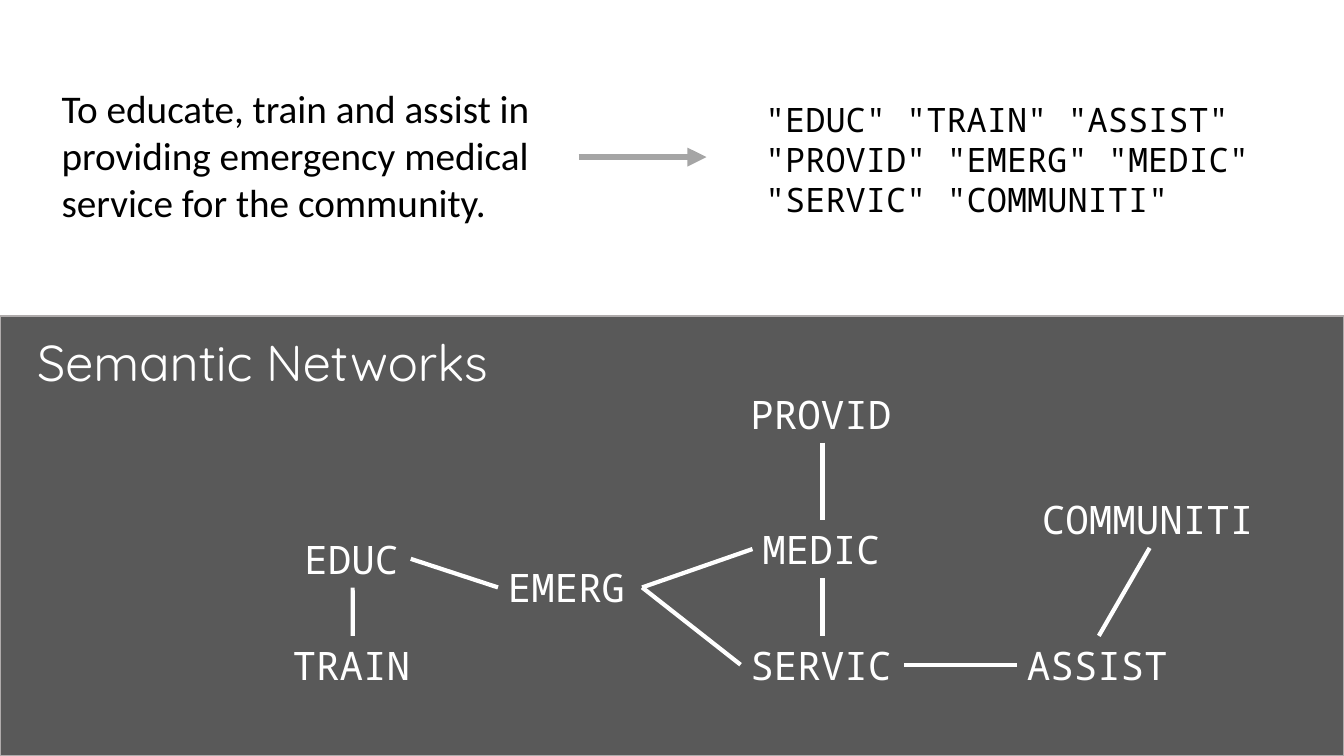
from dataclasses import dataclass

from lxml.etree import SubElement
from pptx import Presentation
from pptx.dml.color import RGBColor
from pptx.enum.shapes import MSO_CONNECTOR, MSO_SHAPE
from pptx.enum.text import MSO_ANCHOR, MSO_AUTO_SIZE, PP_ALIGN
from pptx.oxml.ns import qn
from pptx.util import Pt


@dataclass(frozen=True)
class Theme:
    white: RGBColor = RGBColor(0xFF, 0xFF, 0xFF)
    black: RGBColor = RGBColor(0, 0, 0)
    panel: RGBColor = RGBColor(0x59, 0x59, 0x59)
    panel_edge: RGBColor = RGBColor(0xAF, 0xAB, 0xAB)
    arrow: RGBColor = RGBColor(0xA5, 0xA5, 0xA5)
    body_font: str = "Calibri"
    stem_font: str = "Noto Sans Mono"
    title_font: str = "Quicksand"
    title_size: int = 36
    body_size: int = 28
    stem_size: int = 24


THEME = Theme()
TOP, LEFT, BOTTOM, RIGHT = range(4)
NODE_HEIGHT = 41.2

MISSION = ("To educate, train and assist in providing emergency medical "
           "service for the community.")
STEMS = ('"EDUC" "TRAIN" "ASSIST" "PROVID" "EMERG" "MEDIC" '
         '"SERVIC" "COMMUNITI"')

# word: (left, top)
NODES = {
    "EDUC": (210.4, 378.6),
    "TRAIN": (202, 454.2),
    "ASSIST": (726.4, 454.2),
    "PROVID": (529, 275),
    "COMMUNITI": (737.2, 350.2),
    "SERVIC": (529, 454.2),
    "EMERG": (355.7, 399),
    "MEDIC": (537.5, 371.6),
}
NODE_WIDTHS = {"EMERG": 103}

LINKS = [
    ("EDUC", RIGHT, "EMERG", LEFT),
    ("EDUC", BOTTOM, "TRAIN", TOP),
    ("PROVID", BOTTOM, "MEDIC", TOP),
    ("EMERG", RIGHT, "MEDIC", LEFT),
    ("SERVIC", TOP, "MEDIC", BOTTOM),
    ("EMERG", RIGHT, "SERVIC", LEFT),
    ("COMMUNITI", BOTTOM, "ASSIST", TOP),
    ("SERVIC", RIGHT, "ASSIST", LEFT),
]


def write(holder, text, *, font, size, color, wrap=True,
          anchor=MSO_ANCHOR.TOP, insets=(7.2, 3.6)):
    frame = holder.text_frame
    frame.word_wrap = wrap
    frame.auto_size = MSO_AUTO_SIZE.SHAPE_TO_FIT_TEXT
    frame.vertical_anchor = anchor
    frame.margin_left = frame.margin_right = Pt(insets[0])
    frame.margin_top = frame.margin_bottom = Pt(insets[1])
    paragraph = frame.paragraphs[0]
    paragraph.alignment = PP_ALIGN.LEFT
    run = paragraph.add_run()
    run.text = text
    run.font.name = font
    run.font.size = Pt(size)
    run.font.color.rgb = color


def add_block(slide, left, top, width, height, fill, edge=None):
    block = slide.shapes.add_shape(
        MSO_SHAPE.RECTANGLE, Pt(left), Pt(top), Pt(width), Pt(height))
    block.shadow.inherit = False
    block.fill.solid()
    block.fill.fore_color.rgb = fill
    if edge is None:
        block.line.fill.background()
    else:
        block.line.color.rgb = edge
        block.line.width = Pt(1)
    return block


def add_label(slide, text, left, top, width, height, **text_format):
    label = slide.shapes.add_textbox(Pt(left), Pt(top), Pt(width), Pt(height))
    write(label, text, **text_format)
    return label


def add_node(slide, word):
    """Place a word of the network in a box as wide as its letters need."""
    width = NODE_WIDTHS.get(word, 17 * len(word) + 15)
    return add_label(slide, word, *NODES[word], width, NODE_HEIGHT,
                     font=THEME.stem_font, size=THEME.body_size,
                     color=THEME.white, wrap=word in NODE_WIDTHS)


def add_line(slide, color, weight, start=(0, 0), end=(0, 0)):
    line = slide.shapes.add_connector(
        MSO_CONNECTOR.STRAIGHT, *map(Pt, start), *map(Pt, end))
    line.line.color.rgb = color
    line.line.width = Pt(weight)
    SubElement(line._element.spPr, qn("a:effectLst"))
    return line


def add_link(slide, source, source_side, target, target_side):
    link = add_line(slide, THEME.white, 3)
    link.begin_connect(source, source_side)
    link.end_connect(target, target_side)


def add_arrow(slide, start, end):
    arrow = add_line(slide, THEME.arrow, 4.5, start, end)
    SubElement(arrow.line._get_or_add_ln(), qn("a:tailEnd"), type="triangle")


def main():
    deck = Presentation()
    deck.slide_width, deck.slide_height = Pt(960), Pt(540)
    slide = deck.slides.add_slide(deck.slide_layouts[6])

    add_block(slide, 0, 225.6, 960, 314.4, THEME.panel, THEME.panel_edge)
    stems = add_block(slide, 539.4, 70, 377, 87, THEME.white)
    write(stems, STEMS, font=THEME.stem_font, size=THEME.stem_size,
          color=THEME.black, anchor=MSO_ANCHOR.MIDDLE, insets=(7.2, 0))
    mission = add_block(slide, 44, 60, 397.4, 101.6, THEME.white)
    write(mission, MISSION, font=THEME.body_font, size=THEME.body_size,
          color=THEME.black, anchor=MSO_ANCHOR.MIDDLE, insets=(0, 0))

    nodes = {word: add_node(slide, word) for word in NODES}
    for source, source_side, target, target_side in LINKS:
        add_link(slide, nodes[source], source_side, nodes[target], target_side)

    add_arrow(slide, (413.4, 112.2), (504.6, 112.2))
    add_label(slide, "Semantic Networks", 19.4, 232.6, 350.6, 51,
              font=THEME.title_font, size=THEME.title_size,
              color=THEME.white, wrap=False)
    deck.save("out.pptx")


if __name__ == "__main__":
    main()
